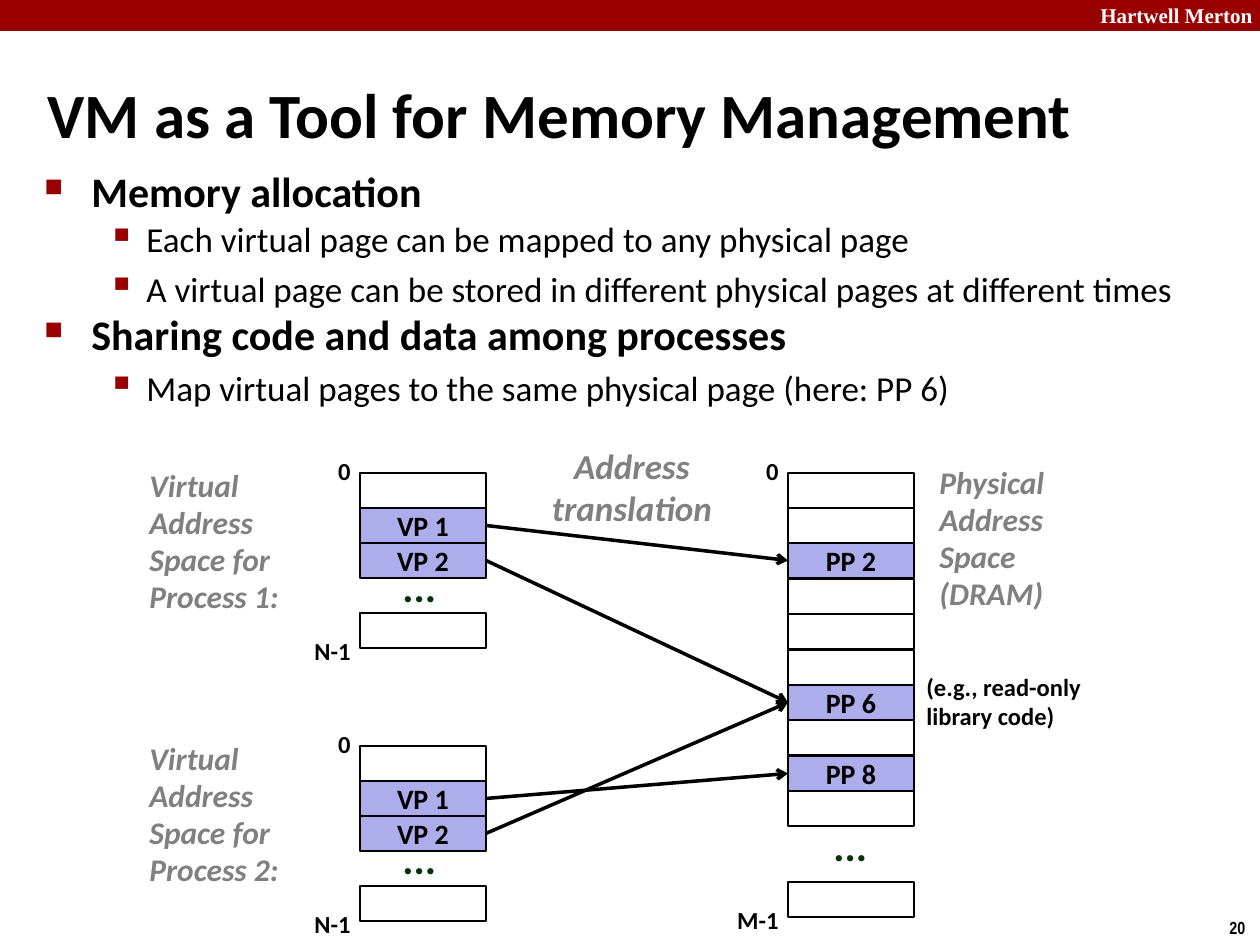
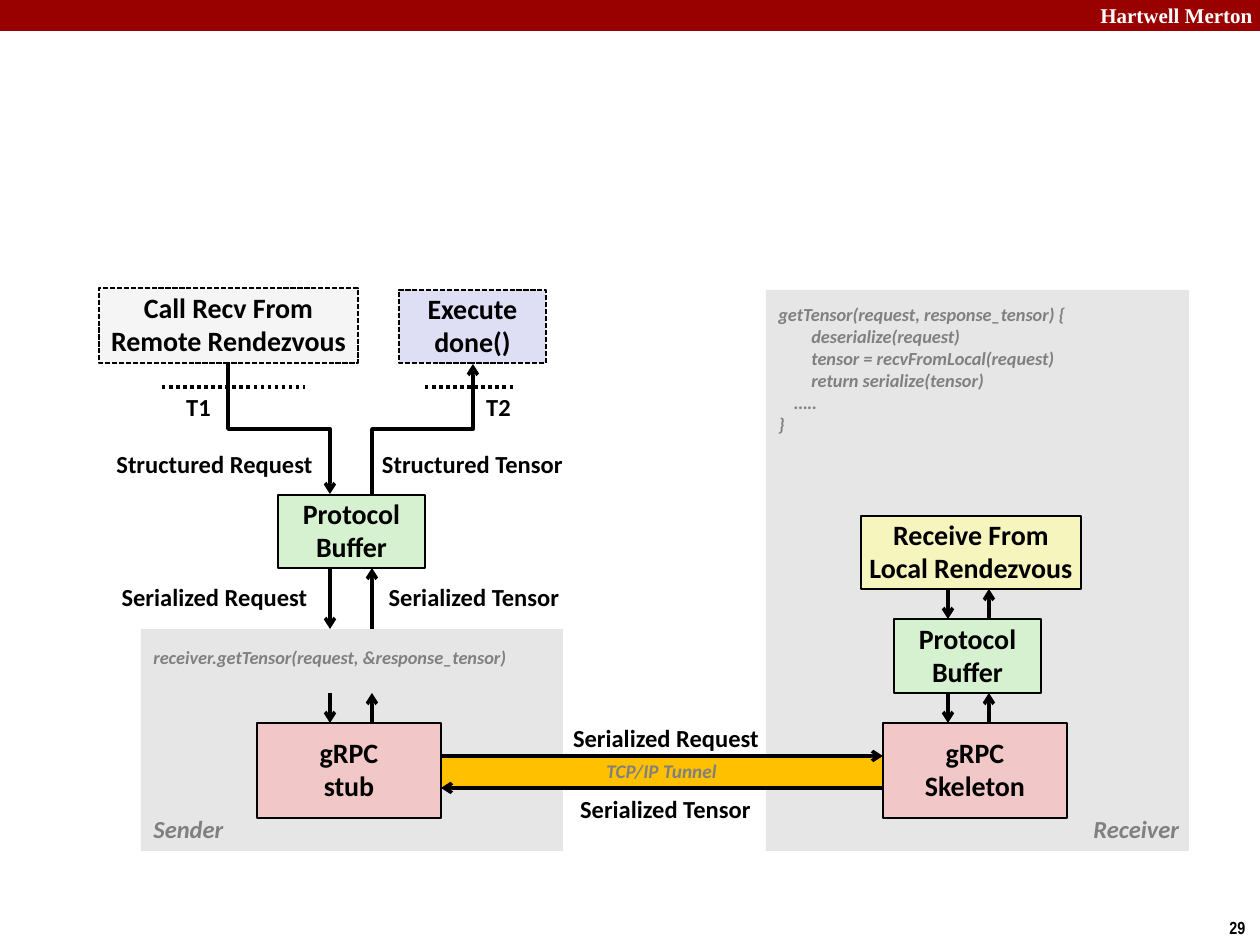
import lxml.etree
import pptx
import pptx.dml.color
import pptx.enum.dml
import pptx.enum.shapes
import pptx.enum.text
import pptx.oxml.ns
import pptx.util

PX = 7257  # EMU in one px, 126 px to the inch
BLACK, WHITE, GRAY, RED = "000000", "FFFFFF", "808080", "990000"
PAGE_BLUE, PANEL, GREEN, PINK = "ADADEB", "E6E6E6", "D5F1CF", "F1C7C7"
BODY_FONT = "Calibri"

rgb = pptx.dml.color.RGBColor.from_string
qn = pptx.oxml.ns.qn
Pt = pptx.util.Pt
Align = pptx.enum.text.PP_ALIGN
Anchor = pptx.enum.text.MSO_ANCHOR
Dash = pptx.enum.dml.MSO_LINE
Connector = pptx.enum.shapes.MSO_CONNECTOR


def add_box(slide, left, top, width, height, lines=(), size=16, color=BLACK, italic=False,
            font=BODY_FONT, align=Align.LEFT, anchor=Anchor.TOP, spacing=1.0, before=0,
            indents=None, wrap=True, fill=None, line=None, dash=None):
    """Add a rectangle if it has a fill or line, otherwise a text box."""
    frame = [length * PX for length in (left, top, width, height)]
    if fill or line:
        shape = slide.shapes.add_shape(pptx.enum.shapes.MSO_SHAPE.RECTANGLE, *frame)
        shape.shadow.inherit = False
        if fill:
            shape.fill.solid()
            shape.fill.fore_color.rgb = rgb(fill)
        else:
            shape.fill.background()
        if line:
            shape.line.color.rgb = rgb(line)
            shape.line.width = Pt(1)
            if dash:
                shape.line.dash_style = dash
        else:
            shape.line.fill.background()
    else:
        shape = slide.shapes.add_textbox(*frame)
    text_frame = shape.text_frame
    text_frame.word_wrap = wrap
    text_frame.vertical_anchor = anchor
    for index, text in enumerate(lines):
        paragraph = text_frame.add_paragraph() if index else text_frame.paragraphs[0]
        paragraph.alignment = align
        paragraph.line_spacing = spacing
        paragraph.space_before = Pt(before)
        if indents:
            paragraph._p.get_or_add_pPr().set("marL", str(indents[index] * PX))
        run = paragraph.add_run()
        run.text = text
        run.font.name = font
        run.font.size = Pt(size)
        run.font.bold = True
        run.font.italic = italic
        run.font.color.rgb = rgb(color)
    return shape


def add_line(slide, start_x, start_y, end_x, end_y, elbow=False, dash=None):
    """Add a 2 pt line: an arrow if solid; an elbow leaves and arrives vertically."""
    kind = Connector.STRAIGHT
    points = [start_x, start_y, end_x, end_y]
    if elbow:
        kind = Connector.ELBOW
        center_x, center_y = (start_x + end_x) / 2, (start_y + end_y) / 2
        half_x, half_y = (end_x - start_x) / 2, (end_y - start_y) / 2
        points = [center_x + half_y, center_y - half_x, center_x - half_y, center_y + half_x]
    connector = slide.shapes.add_connector(kind, *[int(point * PX) for point in points])
    connector.line.color.rgb = rgb(BLACK)
    connector.line.width = Pt(2)
    properties = connector.element.spPr
    if elbow:
        properties.find(qn("a:xfrm")).set("rot", str(270 * 60000))
    if dash:
        connector.line.dash_style = dash
    else:
        lxml.etree.SubElement(properties.find(qn("a:ln")), qn("a:tailEnd"), type="arrow")
    lxml.etree.SubElement(properties, qn("a:effectLst"))
    return connector


presentation = pptx.Presentation()
presentation.slide_width = 1260 * PX
presentation.slide_height = 945 * PX
memory_slide = presentation.slides.add_slide(presentation.slide_layouts[5])
tensor_slide = presentation.slides.add_slide(presentation.slide_layouts[6])

# Band and page number on both slides
for slide, number in ((memory_slide, "20"), (tensor_slide, "29")):
    add_box(slide, 0, 0, 1260, 31, fill=RED)
    add_box(slide, 1088, -4, 180, 38, ["Hartwell Merton"], 12, WHITE, font="Times New Roman")
    add_box(slide, 1217, 911, 43, 34, [number], 10, font="Arial Narrow", wrap=False)

# Slide 1: title
title = memory_slide.shapes.title
title.left, title.top, title.width, title.height = 35 * PX, 73 * PX, 1187 * PX, 80 * PX
title.text_frame.vertical_anchor = Anchor.MIDDLE
paragraph = title.text_frame.paragraphs[0]
paragraph.alignment = Align.LEFT
run = paragraph.add_run()
run.text = "VM as a Tool for Memory Management"
run.font.name = BODY_FONT
run.font.size = Pt(36)
run.font.bold = True
run.font.color.rgb = rgb(BLACK)

# Slide 1: bullets as level, line spacing, text
bullets = [
    (0, 0.83, "Memory allocation"),
    (1, 0.88, "Each virtual page can be mapped to any physical page"),
    (1, 1.0, "A virtual page can be stored in different physical pages at different times"),
    (0, 0.83, "Sharing code and data among processes"),
    (1, 1.0, "Map virtual pages to the same physical page (here: PP 6)"),
]
# Level style: text size, margin, hanging, bullet, bullet size
level_styles = [(24, 47, 47, "■", 60), (20, 102, 39, "▪", 110)]
body = memory_slide.shapes.add_textbox(32 * PX, 168 * PX, 1207 * PX, 262 * PX)
body.text_frame.word_wrap = True
for index, (level, spacing, text) in enumerate(bullets):
    size, margin, hanging, bullet, percent = level_styles[level]
    paragraph = body.text_frame.add_paragraph() if index else body.text_frame.paragraphs[0]
    paragraph.level = level
    paragraph.line_spacing = spacing
    paragraph.space_before = Pt(size * 0.2)
    properties = paragraph._p.get_or_add_pPr()
    properties.set("marL", str(margin * PX))
    properties.set("indent", str(-hanging * PX))
    bullet_color = lxml.etree.SubElement(properties, qn("a:buClr"))
    lxml.etree.SubElement(bullet_color, qn("a:srgbClr"), val=RED)
    lxml.etree.SubElement(properties, qn("a:buSzPct"), val=str(percent * 1000))
    lxml.etree.SubElement(properties, qn("a:buChar"), char=bullet)
    run = paragraph.add_run()
    run.text = text
    run.font.name = BODY_FONT
    run.font.size = Pt(size)
    run.font.bold = level == 0
    run.font.color.rgb = rgb(BLACK)

# Slide 1: address spaces as name, left, top, last cell's top, last label, cells, dots
address_spaces = [
    ("Process 1", 360, 473, 613, "N-1", ["", "VP 1", "VP 2"], (390, 561)),
    ("Process 2", 360, 746, 886, "N-1", ["", "VP 1", "VP 2"], (390, 833)),
    ("DRAM", 788, 473, 882, "M-1",
     ["", "", "PP 2", "", "", "", "PP 6", "", "PP 8", ""], (821, 820)),
]
pages = {}
for name, left, top, last_top, last_label, cells, dots in address_spaces:
    cell_tops = [top + index * 354 // 10 for index in range(len(cells))] + [last_top]
    for label, cell_top in zip(cells + [""], cell_tops):
        pages[name, label] = add_box(
            memory_slide, left, cell_top, 126, 35, [label] if label else [],
            align=Align.CENTER, anchor=Anchor.MIDDLE, line=BLACK,
            fill=PAGE_BLUE if label else None)
    for label, label_top in (("0", top - 22), (last_label, last_top + 18)):
        add_box(memory_slide, left - 87, label_top, 90, 42, [label], 14,
                align=Align.RIGHT, spacing=0.98)
    add_box(memory_slide, *dots, 59, 57, ["..."], 24, "003300", spacing=0.88, before=9,
            wrap=False)

# Slide 1: captions
for process, top in ((1, 462), (2, 735)):
    add_box(memory_slide, 137, top, 189, 161, [f"Virtual Address Space for Process {process}:"],
            18, GRAY, True, spacing=0.98)
add_box(memory_slide, 927, 459, 147, 163, ["Physical", "Address", "Space (DRAM)"],
        18, GRAY, True, spacing=0.98)
add_box(memory_slide, 914, 667, 200, 71, ["(e.g., read-only", "library code)"], 14, spacing=0.98)
add_box(memory_slide, 539, 438, 186, 97, ["Address", "translation"], 20, GRAY, True,
        align=Align.CENTER, wrap=False)

# Slide 1: address translation arrows
for process, virtual_page, physical_page in (
        ("Process 1", "VP 1", "PP 2"), ("Process 1", "VP 2", "PP 6"),
        ("Process 2", "VP 2", "PP 6"), ("Process 2", "VP 1", "PP 8")):
    arrow = add_line(memory_slide, 486, 526, 788, 561)
    arrow.begin_connect(pages[process, virtual_page], 3)
    arrow.end_connect(pages["DRAM", physical_page], 1)

# Slide 2: sender and receiver panels, tunnel
add_box(tensor_slide, 141, 629, 422, 222, fill=PANEL)
add_box(tensor_slide, 766, 290, 423, 561, fill=PANEL)
add_box(tensor_slide, 441, 756, 442, 32, fill="FFC000")

# Slide 2: steps
for left, top, width, height, lines, fill, dash in (
        (257, 723, 184, 95, ["gRPC", "stub"], PINK, None),
        (883, 723, 184, 95, ["gRPC", "Skeleton"], PINK, None),
        (278, 495, 147, 73, ["Protocol", "Buffer"], GREEN, None),
        (894, 619, 147, 74, ["Protocol", "Buffer"], GREEN, None),
        (861, 516, 220, 73, ["Receive From", "Local Rendezvous"], "F6F5BD", None),
        (399, 290, 147, 73, ["Execute", "done()"], "DEDFF5", Dash.SQUARE_DOT),
        (99, 288, 259, 75, ["Call Recv From", "Remote Rendezvous"], "F5F5F5", Dash.SQUARE_DOT)):
    add_box(tensor_slide, left, top, width, height, lines, align=Align.CENTER,
            anchor=Anchor.MIDDLE, spacing=0.98, wrap=False, fill=fill, line=BLACK, dash=dash)

# Slide 2: pairs of vertical arrows, down then up
for down_x, up_x, top, bottom in (
        (330, 372, 568, 629), (330, 372, 693, 723), (948, 989, 589, 619), (948, 989, 693, 723)):
    add_line(tensor_slide, down_x, top, down_x, bottom)
    add_line(tensor_slide, up_x, bottom, up_x, top)

# Slide 2: tunnel arrows, elbows and time marks
add_line(tensor_slide, 441, 756, 883, 756)
add_line(tensor_slide, 883, 788, 441, 788)
add_line(tensor_slide, 228, 364, 330, 494, elbow=True)
add_line(tensor_slide, 372, 494, 473, 364, elbow=True)
add_line(tensor_slide, 162, 387, 305, 387, dash=Dash.ROUND_DOT)
add_line(tensor_slide, 425, 387, 514, 387, dash=Dash.ROUND_DOT)

# Slide 2: message labels
for left, top, width, text in (
        (535, 718, 262, "Serialized Request"), (564, 789, 203, "Serialized Tensor"),
        (99, 577, 231, "Serialized Request"), (372, 577, 204, "Serialized Tensor"),
        (99, 444, 231, "Structured Request"), (358, 444, 229, "Structured Tensor"),
        (120, 387, 157, "T1"), (420, 387, 157, "T2")):
    add_box(tensor_slide, left, top, width, 42, [text], 14, align=Align.CENTER,
            anchor=Anchor.MIDDLE, spacing=0.98)

# Slide 2: code and panel names
add_box(tensor_slide, 141, 640, 436, 35, ["receiver.getTensor(request, &response_tensor)"],
        10.5, GRAY, True)
add_box(tensor_slide, 766, 297, 436, 146,
        ["getTensor(request, response_tensor) {", "deserialize(request)",
         "tensor = recvFromLocal(request)", "return serialize(tensor)", "…..", "}"],
        10.5, GRAY, True, indents=[0, 33, 33, 33, 16, 0])
add_box(tensor_slide, 594, 753, 160, 37, ["TCP/IP Tunnel"], 11, GRAY, True)
add_box(tensor_slide, 141, 808, 96, 43, ["Sender"], 14, GRAY, True)
add_box(tensor_slide, 1081, 808, 122, 43, ["Receiver"], 14, GRAY, True)

presentation.save("out.pptx")
